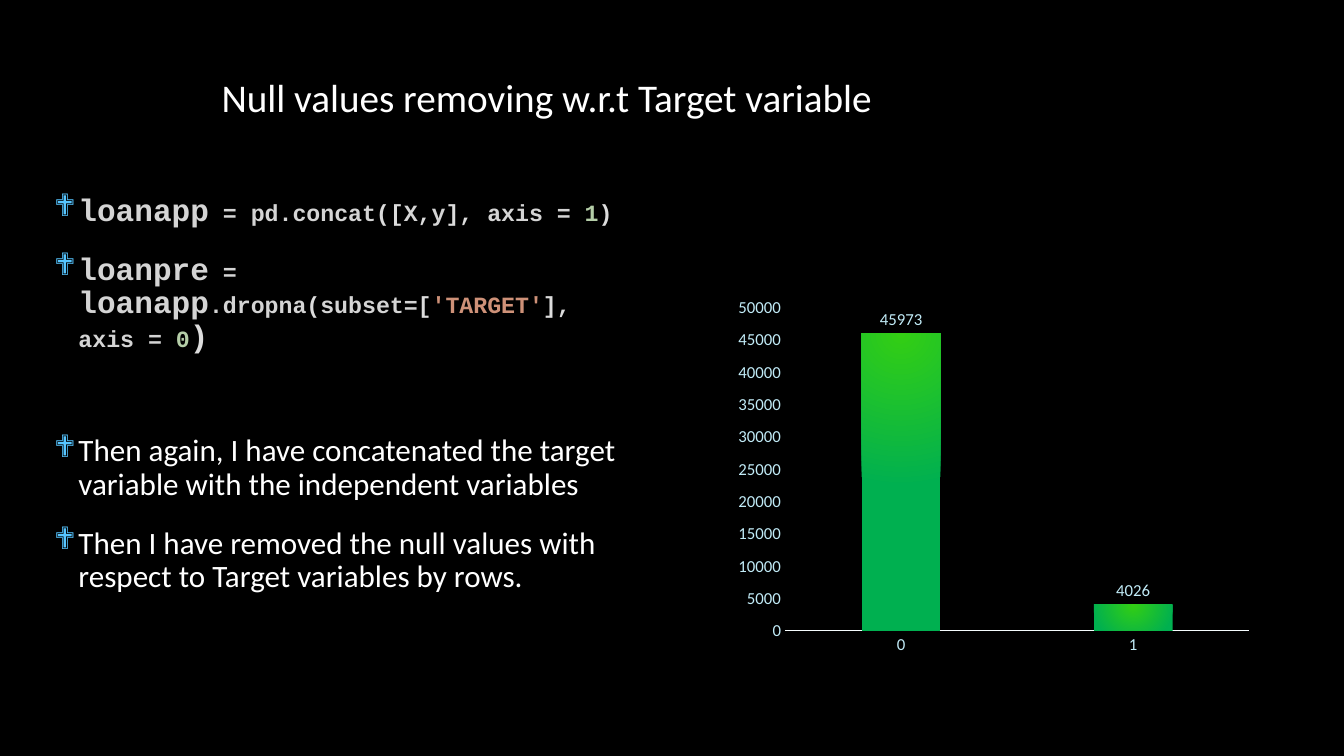
from lxml import etree
from pptx import Presentation
from pptx.chart import data
from pptx.dml.color import RGBColor
from pptx.enum import chart as ch
from pptx.oxml import parse_xml
from pptx.oxml.ns import nsdecls, qn
from pptx.util import Pt

BLACK = RGBColor(0x00, 0x00, 0x00)
WHITE = RGBColor(0xFF, 0xFF, 0xFF)
PLAIN = RGBColor(0xD4, 0xD4, 0xD4)
BRACKET = RGBColor(0xDC, 0xDC, 0xDC)
NUMBER = RGBColor(0xB5, 0xCE, 0xA8)
STRING = RGBColor(0xCE, 0x91, 0x78)
BULLET = RGBColor(0x56, 0xC5, 0xFF)
AXIS_TEXT = RGBColor(0xC1, 0xEB, 0xF7)
AXIS_LINE = RGBColor(0xF6, 0xFC, 0xFE)
BAR_TOP = RGBColor(0x33, 0xCE, 0x14)
BAR_BASE = RGBColor(0x00, 0xB0, 0x50)

LARGE, SMALL = 22.2, 16.6
HEADING = "Null values removing w.r.t Target variable"
CODE = [
    [("loanapp", LARGE, PLAIN), (" = pd.concat", SMALL, PLAIN),
     ("([", SMALL, BRACKET), ("X", SMALL, PLAIN), (",", SMALL, BRACKET),
     ("y", SMALL, PLAIN), ("],", SMALL, BRACKET), (" axis = ", SMALL, PLAIN),
     ("1", SMALL, NUMBER), (")", SMALL, BRACKET)],
    [("loanpre", LARGE, PLAIN), (" = ", SMALL, PLAIN),
     ("loanapp", LARGE, PLAIN), (".dropna", SMALL, PLAIN),
     ("(", SMALL, BRACKET), ("subset=", SMALL, PLAIN), ("[", SMALL, BRACKET),
     ("'TARGET'", SMALL, STRING), ("],", SMALL, BRACKET),
     (" axis = ", SMALL, PLAIN), ("0", SMALL, NUMBER), (")", LARGE, BRACKET)],
]
REMARKS = [
    "Then again, I have concatenated the target variable with the independent variables",
    "Then I have removed the null values with respect to Target variables by rows.",
]
TARGET_COUNTS = {"0": 45973, "1": 4026}

POINTS = [(runs, "Courier New", True) for runs in CODE]
POINTS += [([(remark, LARGE, WHITE)], "Calibri", False) for remark in REMARKS]
GAPS = [0, 18, 58, 18]
INDENT = Pt(17.28)


def style(font, size, color, name="Calibri", bold=False):
    font.size, font.name, font.bold = Pt(size), name, bold
    font.color.rgb = color


def add_bullet(paragraph):
    props = paragraph._p.get_or_add_pPr()
    props.set("marL", str(INDENT))
    props.set("indent", str(-INDENT))
    color = etree.SubElement(props, qn("a:buClr"))
    etree.SubElement(color, qn("a:srgbClr"), val=str(BULLET))
    etree.SubElement(props, qn("a:buFont"), typeface="Wingdings")
    etree.SubElement(props, qn("a:buChar"), char="❖")


def add_box(slide, left, top, width, height):
    frame = slide.shapes.add_textbox(Pt(left), Pt(top), Pt(width), Pt(height)).text_frame
    frame.word_wrap = True
    return frame


def add_points(slide):
    frame = add_box(slide, 31.68, 135.36, 419.76, 349.92)
    for i, ((runs, face, bold), gap) in enumerate(zip(POINTS, GAPS)):
        point = frame.paragraphs[0] if i == 0 else frame.add_paragraph()
        add_bullet(point)
        point.line_spacing = 0.9
        point.space_before = Pt(gap)
        for words, size, color in runs:
            run = point.add_run()
            run.text = words
            style(run.font, size, color, face, bold)


def add_counts(slide):
    counts = data.CategoryChartData()
    counts.categories = list(TARGET_COUNTS)
    counts.add_series("Series 1", list(TARGET_COUNTS.values()))
    chart = slide.shapes.add_chart(
        ch.XL_CHART_TYPE.COLUMN_CLUSTERED,
        Pt(519.84), Pt(207.36), Pt(380.16), Pt(265.68), counts).chart
    chart.has_legend = chart.has_title = False
    style(chart.font, 10, WHITE)

    for axis in (chart.category_axis, chart.value_axis):
        axis.has_major_gridlines = False
        axis.major_tick_mark = axis.minor_tick_mark = ch.XL_TICK_MARK.NONE
        style(axis.tick_labels.font, 12, AXIS_TEXT)
    chart.category_axis.format.line.color.rgb = AXIS_LINE
    chart.category_axis.format.line.width = Pt(0.75)
    scale = chart.value_axis
    scale.format.line.fill.background()
    scale.minimum_scale, scale.maximum_scale, scale.major_unit = 0, 50000, 5000

    plot = chart.plots[0]
    plot.vary_by_categories = False
    plot.gap_width, plot.overlap = 195, 6
    bars = plot.series[0]
    bars.invert_if_negative = False
    bars.format.fill.solid()
    solid = bars.format.fill._xPr.find(qn("a:solidFill"))
    solid.getparent().replace(solid, parse_xml(
        f'<a:gradFill {nsdecls("a")}><a:gsLst>'
        f'<a:gs pos="0"><a:srgbClr val="{BAR_TOP}"/></a:gs>'
        f'<a:gs pos="100000"><a:srgbClr val="{BAR_BASE}"/></a:gs></a:gsLst>'
        '<a:path path="circle"><a:fillToRect l="50000" t="-80000" r="50000" b="180000"/>'
        '</a:path></a:gradFill>'))
    labels = bars.data_labels
    labels.show_value = True
    labels.position = ch.XL_LABEL_POSITION.OUTSIDE_END
    style(labels.font, 12, AXIS_TEXT)


def main():
    deck = Presentation()
    deck.slide_width, deck.slide_height = Pt(960), Pt(540)
    slide = deck.slides.add_slide(deck.slide_layouts[6])
    slide.background.fill.solid()
    slide.background.fill.fore_color.rgb = BLACK

    heading = add_box(slide, 151.2, 48.96, 506.16, 41.04)
    heading.text = HEADING
    style(heading.paragraphs[0].runs[0].font, 28, WHITE)
    add_points(slide)
    add_counts(slide)
    deck.save("out.pptx")


if __name__ == "__main__":
    main()
